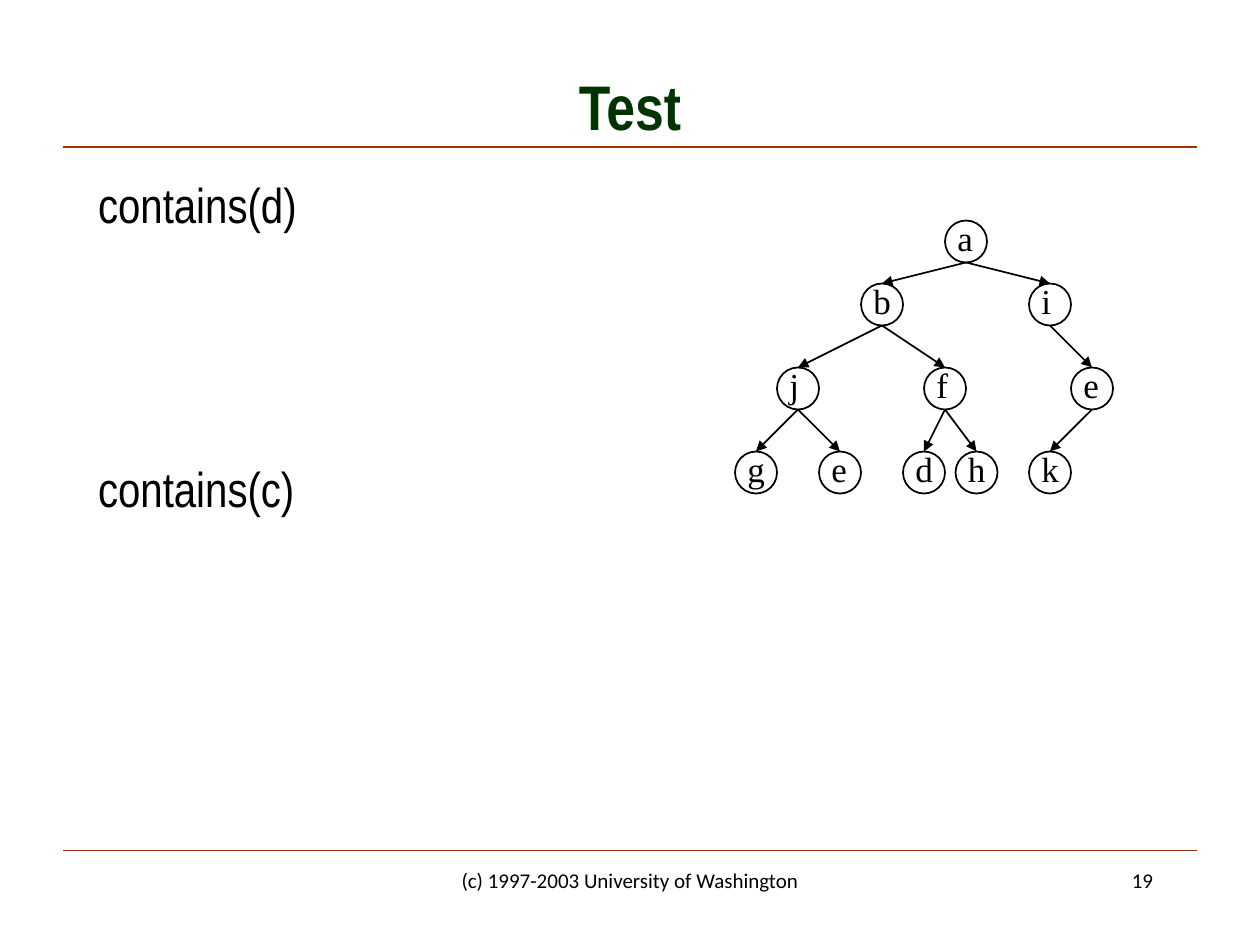
import pptx
import pptx.util
import pptx.dml.color
import pptx.enum.shapes
import pptx.enum.text
import pptx.oxml
import pptx.oxml.ns

COLORS = {"ink": "000000", "rule": "993300", "title": "003300"}
COLUMNS, ROWS = 120, 90
NODE = 4
ALIGN = pptx.enum.text.PP_ALIGN
ANCHOR = pptx.enum.text.MSO_ANCHOR

LETTER_WIDTHS = {"a": 3.84, "e": 3.84, "i": 3.24, "j": 3.24, "f": 3.48}
TREE_ROWS = {
    21: [("a", 90)],
    27: [("b", 82), ("i", 98)],
    35: [("j", 74), ("f", 88), ("e", 102)],
    43: [("g", 70), ("e", 78), ("d", 86), ("h", 91), ("k", 98)],
}
CHILDREN = {
    (90, 21): [82, 98],
    (82, 27): [74, 88],
    (98, 27): [102],
    (74, 35): [70, 78],
    (88, 35): [86, 91],
    (102, 35): [98],
}


def rgb(name):
    return pptx.dml.color.RGBColor.from_string(COLORS[name])


def write(paragraph, text, font="Times New Roman", size=20, color="ink",
          bold=False, align=ALIGN.LEFT, before=0, indent=0):
    run = paragraph.add_run()
    run.text = text
    run.font.name = font
    run.font.size = pptx.util.Pt(size)
    run.font.bold = bold
    run.font.color.rgb = rgb(color)
    paragraph.alignment = align
    paragraph.space_before = pptx.util.Pt(before)
    if indent:
        properties = paragraph._p.get_or_add_pPr()
        properties.set("marL", str(pptx.util.Inches(indent)))
        properties.set("indent", "0")


class SlideBuilder:
    def __init__(self, deck):
        self.deck = deck
        self.slide = deck.slides.add_slide(deck.slide_layouts[6])

    def x(self, columns):
        return round(self.deck.slide_width * columns / COLUMNS)

    def y(self, rows):
        return round(self.deck.slide_height * rows / ROWS)

    def box(self, column, row, width, height):
        return self.x(column), self.y(row), self.x(width), self.y(height)

    def text(self, column, row, width, height, anchor=ANCHOR.TOP, wrap=True):
        label = self.slide.shapes.add_textbox(*self.box(column, row, width, height))
        frame = label.text_frame
        frame.word_wrap = wrap
        frame.vertical_anchor = anchor
        return frame

    def line(self, start, end, color="ink", width=1, arrow=False):
        line = self.slide.shapes.add_connector(
            pptx.enum.shapes.MSO_CONNECTOR.STRAIGHT,
            self.x(start[0]), self.y(start[1]), self.x(end[0]), self.y(end[1]))
        line.line.color.rgb = rgb(color)
        line.line.width = pptx.util.Pt(width)
        if arrow:
            tip = pptx.oxml.parse_xml(
                f'<a:tailEnd {pptx.oxml.ns.nsdecls("a")} type="triangle"/>')
            line.line._get_or_add_ln().append(tip)
        line._element.spPr.append(
            pptx.oxml.parse_xml(f'<a:effectLst {pptx.oxml.ns.nsdecls("a")}/>'))

    def node(self, column, row):
        circle = self.slide.shapes.add_shape(
            pptx.enum.shapes.MSO_SHAPE.OVAL, *self.box(column, row, NODE, NODE))
        circle.shadow.inherit = False
        circle.fill.background()
        circle.line.color.rgb = rgb("ink")
        circle.line.width = pptx.util.Pt(1)

    def letter(self, letter, column, row):
        width = LETTER_WIDTHS.get(letter, 4.08)
        frame = self.text(column, row - 1, width, 5.25, wrap=False)
        write(frame.paragraphs[0], letter)

    def tree(self):
        nodes = [(letter, column, row)
                 for row, level in TREE_ROWS.items() for letter, column in level]
        for _, column, row in nodes:
            self.node(column, row)
        levels = list(TREE_ROWS)
        for (column, row), children in CHILDREN.items():
            child_row = levels[levels.index(row) + 1]
            for child in children:
                self.line((column + NODE / 2, row + NODE),
                          (child + NODE / 2, child_row), arrow=True)
        for node in nodes:
            self.letter(*node)


def main():
    deck = pptx.Presentation()
    deck.slide_width = pptx.util.Inches(10)
    deck.slide_height = pptx.util.Inches(7.5)
    builder = SlideBuilder(deck)

    for rule_row in (14, 81):
        builder.line((6, rule_row), (114, rule_row), color="rule", width=0.75)

    title = builder.text(6, 6, 108, 8, anchor=ANCHOR.MIDDLE)
    write(title.paragraphs[0], "Test", font="Arial Narrow", size=36,
          color="title", bold=True, align=ALIGN.CENTER)

    calls = builder.text(6, 16, 108, 64)
    first_call, second_call = calls.paragraphs[0], calls.add_paragraph()
    for paragraph, call, before in ((first_call, "contains(d)", 7),
                                    (second_call, "contains(c)", 129)):
        write(paragraph, call, font="Arial Narrow", size=28,
              before=before, indent=0.18)

    builder.tree()

    footers = (
        ("(c) 1997-2003 University of Washington", 41, 38, ALIGN.CENTER),
        ("19", 86, 25, ALIGN.RIGHT),
    )
    for words, column, width, align in footers:
        footer = builder.text(column, 82, width, 6)
        write(footer.paragraphs[0], words, font="Calibri", size=12, align=align)

    deck.save("out.pptx")


if __name__ == "__main__":
    main()
